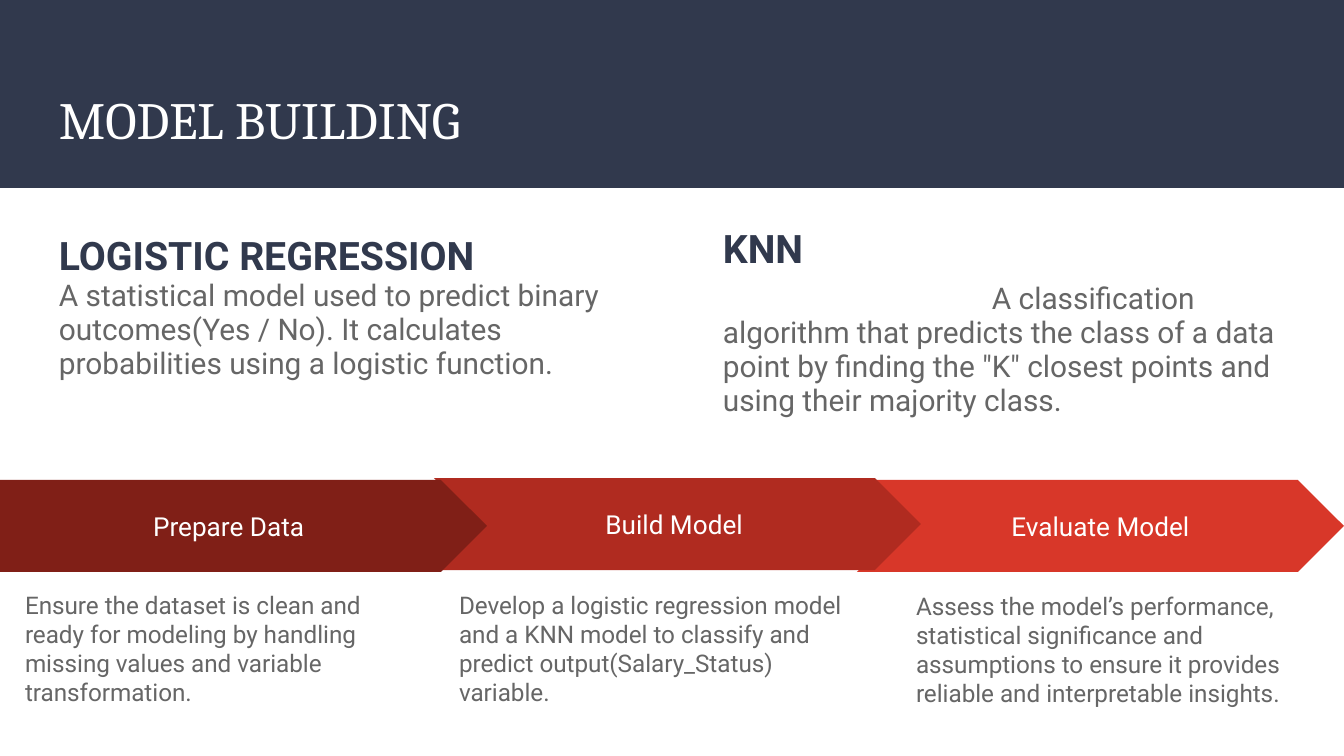
from pptx import Presentation
from pptx.dml.color import RGBColor
from pptx.enum.shapes import MSO_SHAPE
from pptx.enum.text import MSO_ANCHOR, PP_ALIGN
from pptx.util import Emu, Pt

PX_PER_INCH = 134.4
INSET = 13
NAVY, GREY, WHITE = "31394D", "666666", "FFFFFF"

MODELS = [
    ((46, 222, 587, 245), "LOGISTIC REGRESSION",
     "A statistical model used to predict binary outcomes(Yes / No). "
     "It calculates probabilities using a logistic function.", 0, 0),
    ((710, 215, 587, 226), "KNN",
     "A classification algorithm that predicts the class of a data point by finding "
     "the \"K\" closest points and using their majority class.", 269, 5),
]

STAGES = [
    ((0, 480, 487, 92), MSO_SHAPE.PENTAGON, "801F17", "Prepare Data ", (12, 97, 413, 178),
     "Ensure the dataset is clean and ready for modeling by handling "
     "missing values and variable transformation."),
    ((434, 478, 487, 92), MSO_SHAPE.CHEVRON, "B02B20", "Build Model ", (12, 99, 413, 178),
     "Develop a logistic regression model and a KNN model to classify "
     "and predict output(Salary_Status) variable."),
    ((857, 480, 487, 92), MSO_SHAPE.CHEVRON, "D83729", "Evaluate Model", (46, 98, 402, 178),
     "Assess the model’s performance, statistical significance and assumptions "
     "to ensure it provides reliable and interpretable insights."),
]


def px(length):
    """Turn a length in px into EMU."""
    return Emu(round(length * 914400 / PX_PER_INCH))


def colour(code):
    """Turn a hex string into a colour."""
    return RGBColor.from_string(code)


def add_run(paragraph, text, size, code, font="Roboto", bold=False):
    """Append one formatted run to a paragraph."""
    run = paragraph.add_run()
    run.text = text
    run.font.name = font
    run.font.size = Pt(size)
    run.font.bold = bold
    run.font.color.rgb = colour(code)


def prepare_frame(frame, anchor=MSO_ANCHOR.TOP):
    """Set wrapping, insets and anchor, and return the first paragraph."""
    frame.word_wrap = True
    frame.margin_left = frame.margin_right = px(INSET)
    frame.margin_top = frame.margin_bottom = px(INSET)
    frame.vertical_anchor = anchor
    return frame.paragraphs[0]


def add_text(slide, box):
    """Add a text box and return its first paragraph."""
    return prepare_frame(slide.shapes.add_textbox(*map(px, box)).text_frame)


def add_block(slide, kind, box, fill):
    """Add a filled shape without line or shadow."""
    block = slide.shapes.add_shape(kind, *map(px, box))
    block.shadow.inherit = False
    block.fill.solid()
    block.fill.fore_color.rgb = colour(fill)
    block.line.fill.background()
    return block


def add_header(slide, box, title):
    """Place the title band and its title."""
    left, top, width, height = box
    add_block(slide, MSO_SHAPE.RECTANGLE, box, NAVY)
    heading = add_text(slide, (left + 46, top + 74, width - 92, 91))
    add_run(heading, title, 28, WHITE, "Cambria")


def add_model(slide, box, name, summary, first_indent, gap):
    """Place a model's name above its summary."""
    heading = add_text(slide, box)
    heading.line_spacing = 0.95
    add_run(heading, name, 21, NAVY, bold=True)
    body = heading._parent.add_paragraph()
    body.line_spacing = 0.95
    body.space_before = Pt(gap)
    if first_indent:
        properties = body._p.get_or_add_pPr()
        properties.set("marL", "0")
        properties.set("indent", str(px(first_indent)))
    add_run(body, summary, 16, GREY)


def add_stage(slide, box, kind, fill, name, detail_box, detail):
    """Place a process arrow and the detail text below it."""
    left, top, _, _ = box
    arrow = add_block(slide, kind, box, fill)
    arrow.adjustments[0] = 0.5
    label = prepare_frame(arrow.text_frame, MSO_ANCHOR.MIDDLE)
    label.alignment = PP_ALIGN.CENTER
    add_run(label, name, 14, WHITE)
    dx, dy, width, height = detail_box
    add_run(add_text(slide, (left + dx, top + dy, width, height)), detail, 13, GREY)


def main():
    """Build and save the slide."""
    presentation = Presentation()
    presentation.slide_width = px(1344)
    presentation.slide_height = px(756)
    slide = presentation.slides.add_slide(presentation.slide_layouts[6])
    add_header(slide, (0, 0, 1344, 188), "MODEL BUILDING")
    for model in MODELS:
        add_model(slide, *model)
    for stage in reversed(STAGES):
        add_stage(slide, *stage)
    presentation.save("out.pptx")


if __name__ == "__main__":
    main()
